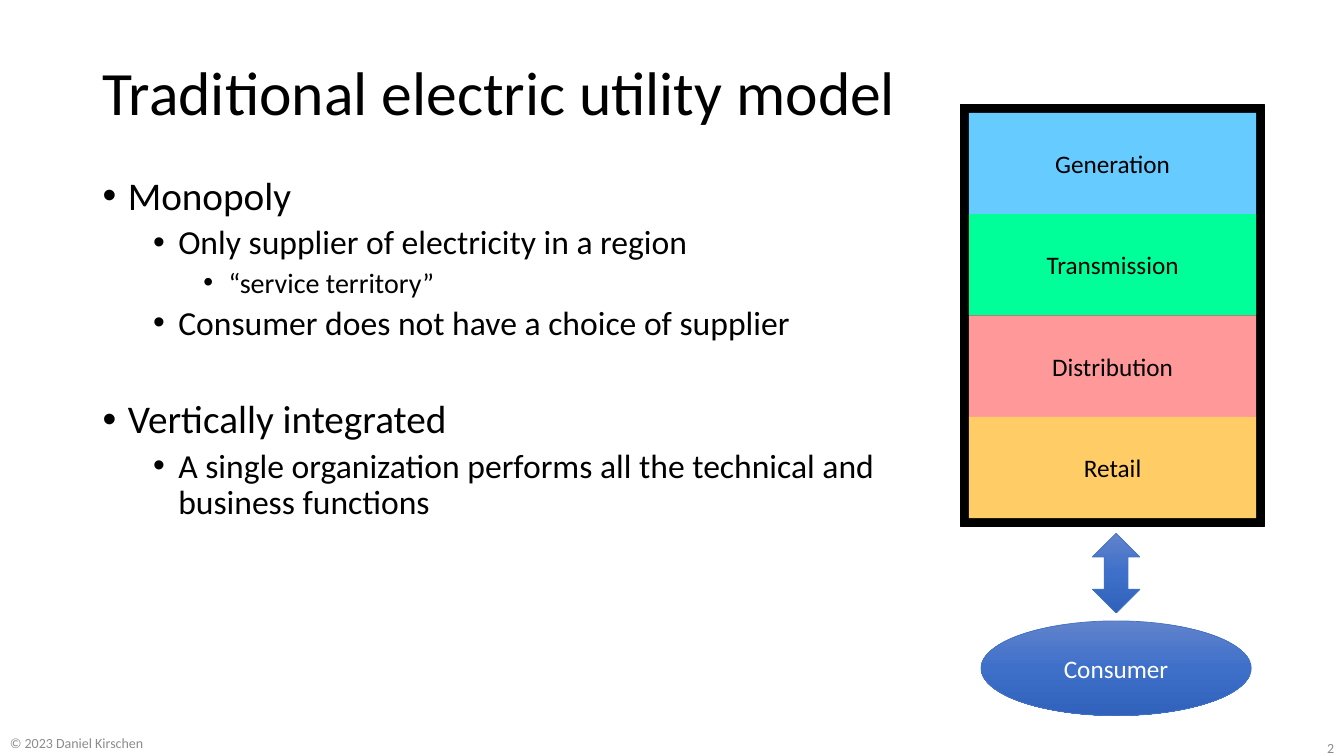
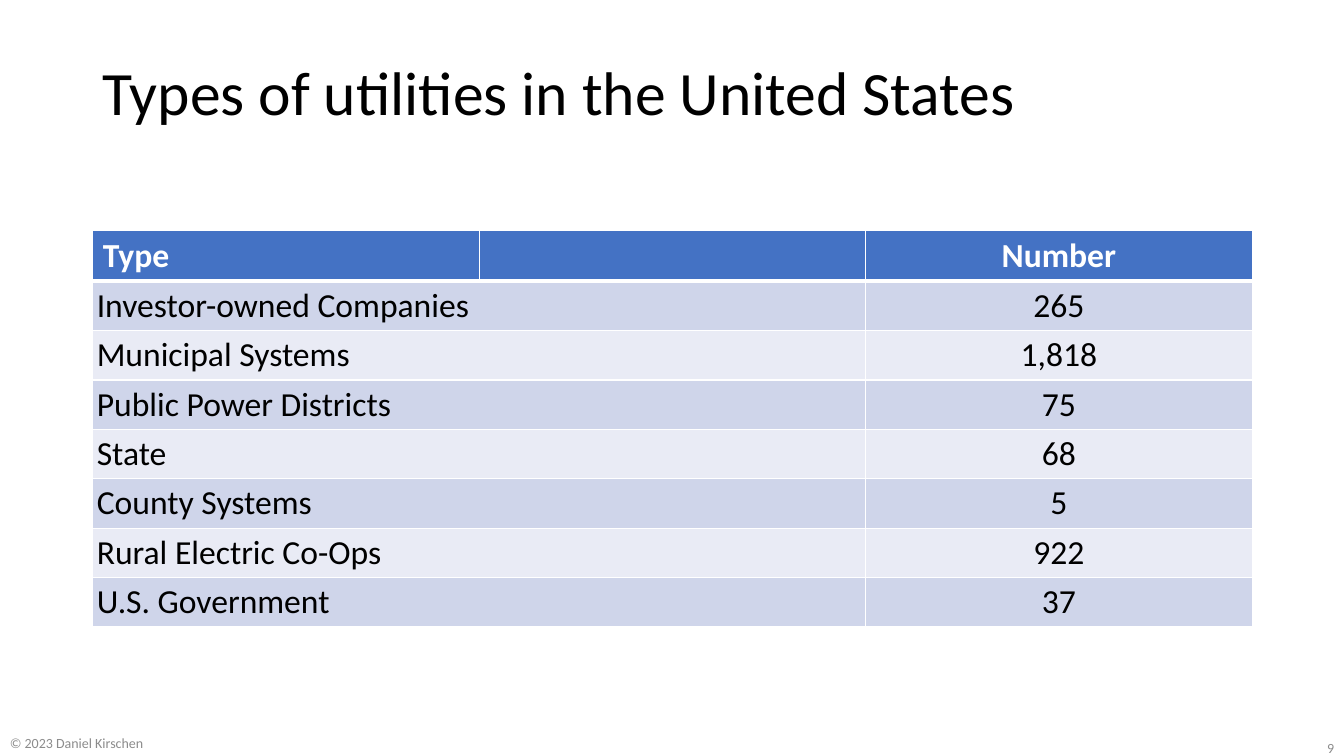
"""Build two slides on the electric utility model and the types of utilities."""
from collections import namedtuple
from copy import deepcopy
from dataclasses import dataclass

from lxml.etree import SubElement as Sub
from pptx import Presentation
from pptx.dml.color import RGBColor as RGB
from pptx.enum.shapes import MSO_SHAPE as Kind
from pptx.enum.text import MSO_ANCHOR as Anchor, PP_ALIGN as Align
from pptx.oxml.ns import qn
from pptx.util import Inches, Pt

Box = namedtuple("Box", "x y w h")


@dataclass(frozen=True)
class Theme:
    face: str = "Calibri"
    ink: str = "000000"
    paper: str = "FFFFFF"
    muted: str = "8C8C8C"
    accent: str = "4472C4"
    blend: tuple = ("6183CB", "3E70CA", "3062BB")
    bands: tuple = ("CFD5EA", "E9EBF5")
    title: int = 44
    levels: tuple = (28, 24, 20)
    table: int = 24
    label: int = 18
    small: int = 10


T = Theme()
PAGE = Box(0, 0, 13.33, 7.5)
HEAD = Box(0.92, 0.4, 11.5, 1.1)
BODY = Box(0.92, 1.7, 8.16, 5.05)
STACK = Box(9.53, 1.04, 3.01, 4.18)
LINK = Box(9.73, 5.29, 2.68, 1.81)
GRID = Box(0.92, 2.29, 11.5, 3.92)

POINTS = [
    (0, "Monopoly", 10),
    (1, "Only supplier of electricity in a region", 5),
    (2, "“service territory”", 5),
    (1, "Consumer does not have a choice of supplier", 5),
    (0, "Vertically integrated", 41),
    (1, "A single organization performs all the technical and business functions", 5),
]
LAYERS = [
    ("Generation", "66CCFF"),
    ("Transmission", "00FF99"),
    ("Distribution", "FF9999"),
    ("Retail", "FFCC66"),
]
COUNTS = [
    ("Investor-owned Companies", "265"),
    ("Municipal Systems", "1,818"),
    ("Public Power Districts", "75"),
    ("State", "68"),
    ("County Systems", "5"),
    ("Rural Electric Co-Ops", "922"),
    ("U.S. Government", "37"),
]


def inch(box):
    """Turn a box into four lengths."""
    return [Inches(n) for n in box]


def apply(item, form):
    """Set each attribute named in the format."""
    for name, value in form.items():
        setattr(item, name, value)


def write(para, text, size, color=T.ink, bold=False, **form):
    """Put one styled run in a paragraph."""
    run = para.add_run()
    run.text = text
    apply(run.font, {"name": T.face, "size": Pt(size), "bold": bold})
    run.font.color.rgb = RGB.from_string(color)
    apply(para, form)


def add_text(slide, box, anchor=Anchor.MIDDLE):
    """Add a wrapping text box and return its frame."""
    frame = slide.shapes.add_textbox(*inch(box)).text_frame
    apply(frame, {"word_wrap": True, "vertical_anchor": anchor})
    return frame


def add_block(shapes, kind, box, fill=None, line=None, width=0.5):
    """Add a flat preset shape, with the theme blend if no fill is given."""
    block = shapes.add_shape(kind, *inch(box))
    block.shadow.inherit = False
    if fill:
        block.fill.solid()
        block.fill.fore_color.rgb = RGB.from_string(fill)
    else:
        block.fill.gradient()
        block.fill.gradient_angle = 270
        stops = block._element.spPr.find(".//" + qn("a:gsLst"))
        stops.append(deepcopy(stops[-1]))
        for n, (stop, color) in enumerate(zip(block.fill.gradient_stops, T.blend)):
            stop.position = n / 2
            stop.color.rgb = RGB.from_string(color)
    if line:
        block.line.color.rgb = RGB.from_string(line)
        block.line.width = Pt(width)
    else:
        block.line.fill.background()
    return block


def label(block, text, color=T.ink):
    """Center a label in a shape."""
    block.text_frame.vertical_anchor = Anchor.MIDDLE
    write(block.text_frame.paragraphs[0], text, T.label, color, alignment=Align.CENTER)


def add_page(deck, title, number):
    """Add a slide with its title and footers."""
    slide = deck.slides.add_slide(deck.slide_layouts[6])
    write(add_text(slide, HEAD).paragraphs[0], title, T.title, line_spacing=0.9)
    foot = [
        (Box(PAGE.x, 7.21, 3.44, 0.33), "© 2023 Daniel Kirschen", Align.LEFT),
        (Box(PAGE.w - 3, 7.26, 3, 0.31), str(number), Align.RIGHT),
    ]
    for box, text, side in foot:
        write(add_text(slide, box).paragraphs[0], text, T.small, T.muted, alignment=side)
    return slide


def add_points(slide, box):
    """Place the bullet list."""
    frame = add_text(slide, box, Anchor.TOP)
    for n, (level, text, gap) in enumerate(POINTS):
        para = frame.add_paragraph() if n else frame.paragraphs[0]
        write(para, text, T.levels[level], level=level, line_spacing=0.9, space_before=Pt(gap))
        props = para._p.get_or_add_pPr()
        props.set("marL", str(Inches(0.25 + level / 2)))
        props.set("indent", str(Inches(-0.25)))
        Sub(props, qn("a:buFont"), typeface="Arial")
        Sub(props, qn("a:buChar"), char="•")


def add_stack(slide, box):
    """Place the framed stack of utility functions."""
    group = slide.shapes.add_group_shape().shapes
    add_block(group, Kind.RECTANGLE, box, T.ink, T.ink, 0.75)
    rim = 0.08
    high = (box.h - 2 * rim) / len(LAYERS)
    for n, (text, fill) in enumerate(LAYERS):
        cell = Box(box.x + rim, box.y + rim + n * high, box.w - 2 * rim, high)
        label(add_block(group, Kind.RECTANGLE, cell, fill), text)


def add_link(slide, box):
    """Place the consumer below a double arrow."""
    wide, tall, oval = 0.47, 0.79, 0.94
    base = Box(box.x, box.y + box.h - oval, box.w, oval)
    label(add_block(slide.shapes, Kind.OVAL, base, line=T.accent), "Consumer", T.paper)
    arrow = Box(box.x + (box.w - wide) / 2, box.y, wide, tall)
    add_block(slide.shapes, Kind.UP_DOWN_ARROW, arrow, line=T.accent)


def paint(cell, fill, top=1, base=1):
    """Give a cell its borders and fill."""
    props = cell._tc.get_or_add_tcPr()
    for side, width in {"L": 1, "R": 1, "T": top, "B": base}.items():
        line = Sub(props, qn("a:ln" + side), w=str(Pt(width)))
        Sub(Sub(line, qn("a:solidFill")), qn("a:srgbClr"), val=T.paper)
    cell.fill.solid()
    cell.fill.fore_color.rgb = RGB.from_string(fill)


def add_grid(slide, box):
    """Place the table of utility counts."""
    rows = len(COUNTS) + 1
    grid = slide.shapes.add_table(rows, 3, *inch(box)).table
    for col in grid.columns:
        col.width = Inches(box.w / 3)
    for row in grid.rows:
        row.height = Inches(box.h / rows)
    for n, (kind, count) in enumerate([("Type", "Number")] + COUNTS):
        cells = [grid.cell(n, col) for col in range(3)]
        fill = T.bands[(n - 1) % 2] if n else T.accent
        for cell in cells:
            paint(cell, fill, 3 if n == 1 else 1, 1 if n else 3)
            if n:
                sides = ("left", "right", "top", "bottom")
                apply(cell, {"margin_" + side: Inches(0.04) for side in sides})
                cell.vertical_anchor = Anchor.MIDDLE
        if n:
            cells[0].merge(cells[1])
        color = T.ink if n else T.paper
        for cell, text, side in ((cells[0], kind, Align.LEFT), (cells[2], count, Align.CENTER)):
            write(cell.text_frame.paragraphs[0], text, T.table, color, not n, alignment=side)


def main():
    """Build and save the deck."""
    deck = Presentation()
    apply(deck, {"slide_width": Inches(PAGE.w), "slide_height": Inches(PAGE.h)})
    model = add_page(deck, "Traditional electric utility model", 2)
    add_points(model, BODY)
    add_stack(model, STACK)
    add_link(model, LINK)
    add_grid(add_page(deck, "Types of utilities in the United States", 9), GRID)
    deck.save("out.pptx")


if __name__ == "__main__":
    main()
